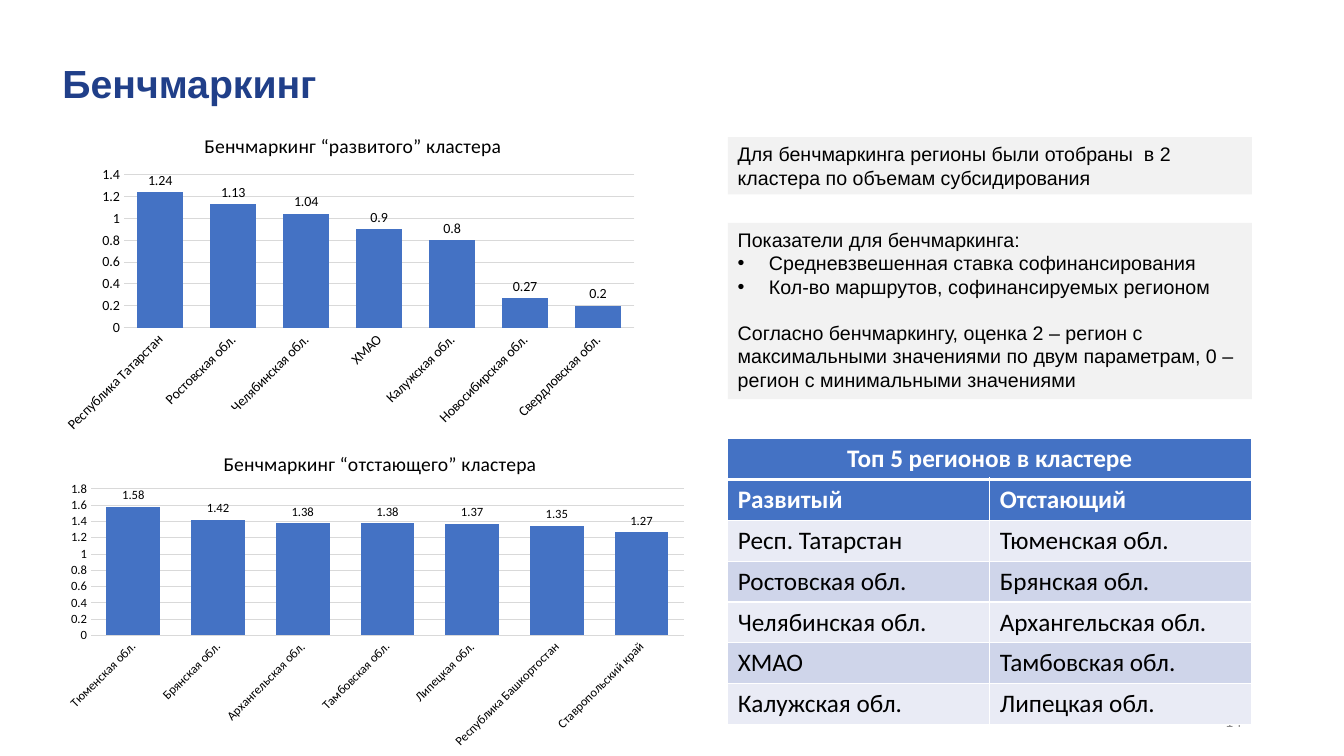
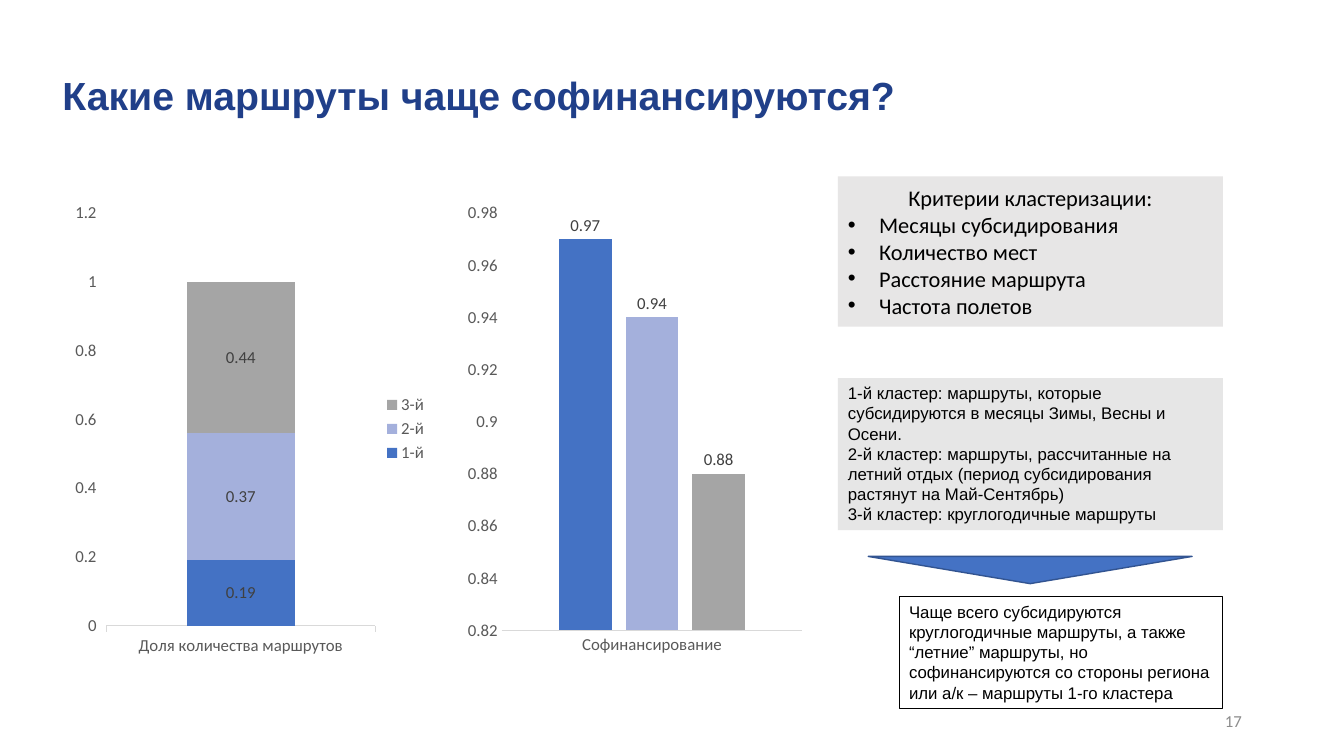
from dataclasses import dataclass
from typing import NamedTuple, Optional

import pptx
import pptx.chart.data
import pptx.dml.color
import pptx.enum.chart
import pptx.enum.shapes
import pptx.enum.text
import pptx.oxml
import pptx.oxml.ns
import pptx.util
from lxml import etree

SLIDE_W = pptx.util.Inches(13.33)
SLIDE_H = pptx.util.Inches(7.5)
COLORS = {
    "title": "203F89", "text": "000000", "white": "FFFFFF",
    "number": "8C8C8C", "axis": "595959", "label": "404040",
    "rule": "D9D9D9", "note": "F2F2F2", "cluster": "E6E6E6",
    "criteria": "E7E6E6", "blue": "4472C4", "blue_edge": "325491",
    "lilac": "A4B0DC", "grey": "A5A5A5",
    "band_light": "E9EBF5", "band_dark": "CFD5EA",
}
ALIGN = pptx.enum.text.PP_ALIGN
ANCHOR = pptx.enum.text.MSO_ANCHOR
CHART = pptx.enum.chart.XL_CHART_TYPE
LABEL = pptx.enum.chart.XL_LABEL_POSITION
TICK = pptx.enum.chart.XL_TICK_MARK
SHAPE = pptx.enum.shapes.MSO_SHAPE
qn = pptx.oxml.ns.qn


class Box(NamedTuple):
    """Percentages of the slide's width and height."""
    x: float
    y: float
    w: float
    h: float

    def emu(self) -> tuple:
        return (int(SLIDE_W * self.x / 100), int(SLIDE_H * self.y / 100),
                int(SLIDE_W * self.w / 100), int(SLIDE_H * self.h / 100))


class Para(NamedTuple):
    text: str
    bullet: bool = False
    align: ALIGN = ALIGN.LEFT
    before: float = 0


@dataclass
class Panel:
    box: Box
    paras: list
    size: float
    font: str = "Arial"
    fill: Optional[str] = None
    line: Optional[str] = None
    anchor: ANCHOR = ANCHOR.TOP


@dataclass
class Bars:
    box: Box
    cats: list
    series: dict
    plot: tuple
    scale: tuple
    size: float
    gap: int
    overlap: int = -27
    kind: CHART = CHART.COLUMN_CLUSTERED
    title: str = ""
    title_at: tuple = ()
    axis_color: str = "text"
    label_color: str = "text"
    tilted: bool = False
    grid: bool = False
    legend: bool = False


def rgb(name: str) -> pptx.dml.color.RGBColor:
    return pptx.dml.color.RGBColor.from_string(COLORS[name])


def set_font(font, size: float, color: str, name: str = "Calibri", bold: bool = False) -> None:
    font.size, font.name, font.bold = pptx.util.Pt(size), name, bold
    font.color.rgb = rgb(color)


def add_bullet(p) -> None:
    pPr = p._p.get_or_add_pPr()
    indent = pptx.util.Inches(0.31)
    pPr.set("marL", str(indent))
    pPr.set("indent", str(-indent))
    etree.SubElement(pPr, qn("a:buFont")).set("typeface", "Arial")
    etree.SubElement(pPr, qn("a:buChar")).set("char", "•")


def write(tf, paras: list, *, size: float, color: str = "text", font: str = "Calibri",
          bold: bool = False, anchor: ANCHOR = ANCHOR.TOP) -> None:
    tf.word_wrap = True
    tf.auto_size = pptx.enum.text.MSO_AUTO_SIZE.NONE
    tf.vertical_anchor = anchor
    for i, para in enumerate(paras):
        p = tf.add_paragraph() if i else tf.paragraphs[0]
        p.alignment = para.align
        p.space_before = pptx.util.Pt(para.before)
        if para.bullet:
            add_bullet(p)
        r = p.add_run()
        r.text = para.text
        set_font(r.font, size, color, font, bold)


def add_slide(prs, title: str, box: Box, number: str):
    s = prs.slides.add_slide(prs.slide_layouts[5])
    sp = s.shapes.title
    sp.left, sp.top, sp.width, sp.height = box.emu()
    write(sp.text_frame, [Para(title)], size=28, color="title", font="Arial", bold=True)
    sp = s.shapes.add_textbox(*Box(70.65, 92.67, 22.5, 5.33).emu())
    write(sp.text_frame, [Para(number, align=ALIGN.RIGHT)], size=12, color="number",
          anchor=ANCHOR.MIDDLE)
    return s


def add_figure(s, shape: SHAPE, box: Box, fill: Optional[str], line: Optional[str], width: float = 0.75):
    sp = s.shapes.add_shape(shape, *box.emu())
    sp.shadow.inherit = False
    if fill:
        sp.fill.solid()
        sp.fill.fore_color.rgb = rgb(fill)
    else:
        sp.fill.background()
    if line:
        sp.line.color.rgb = rgb(line)
        sp.line.width = pptx.util.Pt(width)
    else:
        sp.line.fill.background()
    return sp


def add_panel(s, panel: Panel) -> None:
    sp = add_figure(s, SHAPE.RECTANGLE, panel.box, panel.fill, panel.line)
    write(sp.text_frame, panel.paras, size=panel.size, font=panel.font, anchor=panel.anchor)


def place(parent, shares: tuple, inner: bool = False) -> None:
    layout = parent.find(qn("c:layout"))
    if layout is None:
        layout = etree.Element(qn("c:layout"))
        parent.insert(0, layout)
    manual = etree.SubElement(layout, qn("c:manualLayout"))
    if inner:
        etree.SubElement(manual, qn("c:layoutTarget")).set("val", "inner")
    for mode in ("xMode", "yMode"):
        etree.SubElement(manual, qn("c:" + mode)).set("val", "edge")
    for key, share in zip("xywh", shares):
        etree.SubElement(manual, qn("c:" + key)).set("val", str(share))


def add_bars(s, bars: Bars) -> None:
    data = pptx.chart.data.CategoryChartData()
    data.categories = bars.cats
    for name, (_, values) in bars.series.items():
        data.add_series(name, values)
    chart = s.shapes.add_chart(bars.kind, *bars.box.emu(), data).chart
    set_font(chart.font, 10, "text")
    chart.has_title = bool(bars.title)
    if bars.title:
        p = chart.chart_title.text_frame.paragraphs[0]
        r = p.add_run()
        r.text = bars.title
        set_font(r.font, 14, "text")
        place(chart.element.xpath("c:chart/c:title")[0], bars.title_at)
    chart.has_legend = bars.legend
    if bars.legend:
        chart.legend.position = pptx.enum.chart.XL_LEGEND_POSITION.RIGHT
        chart.legend.include_in_layout = False
        set_font(chart.legend.font, 12, "axis")

    plot = chart.plots[0]
    plot.vary_by_categories = False
    plot.gap_width, plot.overlap = bars.gap, bars.overlap
    for series, (color, _) in zip(plot.series, bars.series.values()):
        series.format.fill.solid()
        series.format.fill.fore_color.rgb = rgb(color)
    stacked = bars.kind == CHART.COLUMN_STACKED
    plot.has_data_labels = True
    labels = plot.data_labels
    labels.show_value = True
    labels.position = LABEL.CENTER if stacked else LABEL.OUTSIDE_END
    set_font(labels.font, bars.size, bars.label_color)

    cat, val = chart.category_axis, chart.value_axis
    for axis in (cat, val):
        axis.major_tick_mark = TICK.OUTSIDE if stacked else TICK.NONE
        axis.minor_tick_mark = TICK.NONE
        set_font(axis.tick_labels.font, bars.size, bars.axis_color)
    val.minimum_scale, val.maximum_scale, val.major_unit = bars.scale
    val.format.line.fill.background()
    val.has_major_gridlines = bars.grid
    rules = [cat.format.line] + ([val.major_gridlines.format.line] if bars.grid else [])
    for rule in rules:
        rule.color.rgb = rgb("rule")
        rule.width = pptx.util.Pt(0.75)
    if bars.tilted:
        chart.element.xpath(".//c:catAx/c:txPr/a:bodyPr")[0].set("rot", str(-45 * 60000))
    place(chart.element.xpath("c:chart/c:plotArea")[0], bars.plot, inner=True)


def set_borders(cell, widths: dict) -> None:
    tcPr = cell._tc.get_or_add_tcPr()
    for side, width in widths.items():
        ln = etree.SubElement(tcPr, qn("a:ln" + side))
        ln.set("w", str(pptx.util.Pt(width)))
        fill = etree.SubElement(ln, qn("a:solidFill"))
        etree.SubElement(fill, qn("a:srgbClr")).set("val", COLORS["white"])


def add_ranking(s, box: Box, rows: list) -> None:
    table = s.shapes.add_table(len(rows), 2, *box.emu()).table
    for i, row in enumerate(rows):
        header = i < 2
        fill = "blue" if header else ("band_light", "band_dark")[i % 2]
        for j, text in enumerate(row):
            cell = table.cell(i, j)
            set_borders(cell, {"L": 1, "R": 1, "T": 3 if i == 1 else 1, "B": 1 if i else 3})
            cell.fill.solid()
            cell.fill.fore_color.rgb = rgb(fill)
            if text:
                para = Para(text, align=ALIGN.LEFT if i else ALIGN.CENTER)
                write(cell.text_frame, [para], size=18, color="white" if header else "text", bold=header)
    table.cell(0, 0).merge(table.cell(0, 1))


def build_benchmark(prs) -> None:
    s = add_slide(prs, "Бенчмаркинг", Box(3.9, 7.2, 60.5, 12.67), "14")
    add_panel(s, Panel(Box(54.15, 18.13, 39, 7.6), [
        Para("Для бенчмаркинга регионы были отобраны  в 2 кластера по объемам субсидирования"),
    ], 14, fill="note"))
    add_panel(s, Panel(Box(54.15, 29.47, 39, 23.33), [
        Para("Показатели для бенчмаркинга:"),
        Para("Средневзвешенная ставка софинансирования", bullet=True),
        Para("Кол-во маршрутов, софинансируемых регионом", bullet=True),
        Para("Согласно бенчмаркингу, оценка 2 – регион с максимальными значениями по двум "
             "параметрам, 0 – регион с минимальными значениями", before=16),
    ], 14, fill="note"))
    add_ranking(s, Box(54.15, 58, 39, 37.33), [
        ("Топ 5 регионов в кластере", ""),
        ("Развитый", "Отстающий"),
        ("Респ. Татарстан", "Тюменская обл."),
        ("Ростовская обл.", "Брянская обл."),
        ("Челябинская обл.", "Архангельская обл."),
        ("ХМАО", "Тамбовская обл."),
        ("Калужская обл.", "Липецкая обл."),
    ])
    add_bars(s, Bars(
        Box(3.9, 14.93, 44.2, 43.07),
        ["Республика Татарстан", "Ростовская обл.", "Челябинская обл.", "ХМАО",
         "Калужская обл.", "Новосибирская обл.", "Свердловская обл."],
        {"Series 1": ("blue", (1.24, 1.13, 1.04, 0.9, 0.8, 0.27, 0.2))},
        plot=(0.12, 0.19, 0.86, 0.47), scale=(0, 1.4, 0.2), size=10, gap=57,
        title="Бенчмаркинг “развитого” кластера", title_at=(0.25, 0.05), tilted=True, grid=True))
    add_bars(s, Bars(
        Box(3.9, 56.93, 47.95, 43.07),
        ["Тюменская обл.", "Брянская обл.", "Архангельская обл.", "Тамбовская обл.",
         "Липецкая обл.", "Республика Башкортостан", "Ставропольский край"],
        {"Series 1": ("blue", (1.58, 1.42, 1.38, 1.38, 1.37, 1.35, 1.27))},
        plot=(0.06, 0.18, 0.92, 0.45), scale=(0, 1.8, 0.2), size=9, gap=57,
        title="Бенчмаркинг “отстающего” кластера", title_at=(0.26, 0.05), tilted=True, grid=True))


def build_routes(prs) -> None:
    s = add_slide(prs, "Какие маршруты чаще софинансируются?", Box(3.9, 8.8, 76.2, 12.67), "17")
    add_bars(s, Bars(
        Box(5.18, 25.73, 27.4, 62), ["Доля количества маршрутов"],
        {"1-й": ("blue", (0.19,)), "2-й": ("lilac", (0.37,)), "3-й": ("grey", (0.44,))},
        plot=(0.1, 0.04, 0.73, 0.88), scale=(0, 1.2, 0.2), size=12, gap=150, overlap=100,
        kind=CHART.COLUMN_STACKED, axis_color="axis", label_color="label", legend=True))
    add_bars(s, Bars(
        Box(34.2, 25.73, 26.03, 62), ["Софинансирование"],
        {"Series 1": ("blue", (0.97,)), "Series 2": ("lilac", (0.94,)), "Series 3": ("grey", (0.88,))},
        plot=(0.12, 0.04, 0.86, 0.89), scale=(0.82, 0.98, 0.02), size=12, gap=219,
        axis_color="axis", label_color="label"))
    add_panel(s, Panel(Box(66.9, 78.93, 24.1, 14.8), [
        Para("Чаще всего субсидируются круглогодичные маршруты, а также “летние” маршруты, но "
             "софинансируются со стороны региона или а/к – маршруты 1-го кластера"),
    ], 12, line="text"))
    add_panel(s, Panel(Box(62.35, 50, 28.65, 20.13), [
        Para("1-й кластер: маршруты, которые субсидируются в месяцы Зимы, Весны и Осени."),
        Para("2-й кластер: маршруты, рассчитанные на летний отдых (период субсидирования "
             "растянут на Май-Сентябрь)"),
        Para("3-й кластер: круглогодичные маршруты"),
    ], 12, fill="cluster"))
    arrow = add_figure(s, SHAPE.ISOSCELES_TRIANGLE, Box(64.6, 73.6, 24.1, 3.6), "blue", "blue_edge", 1)
    arrow.rotation = 180
    criteria = ("Месяцы субсидирования", "Количество мест", "Расстояние маршрута", "Частота полетов")
    add_panel(s, Panel(
        Box(62.35, 23.33, 28.65, 19.87),
        [Para("Критерии кластеризации:", align=ALIGN.CENTER)] + [Para(c, bullet=True) for c in criteria],
        16, font="Calibri", fill="criteria", anchor=ANCHOR.MIDDLE))


def main() -> None:
    prs = pptx.Presentation()
    prs.slide_width, prs.slide_height = SLIDE_W, SLIDE_H
    build_benchmark(prs)
    build_routes(prs)
    prs.save("out.pptx")


if __name__ == "__main__":
    main()
